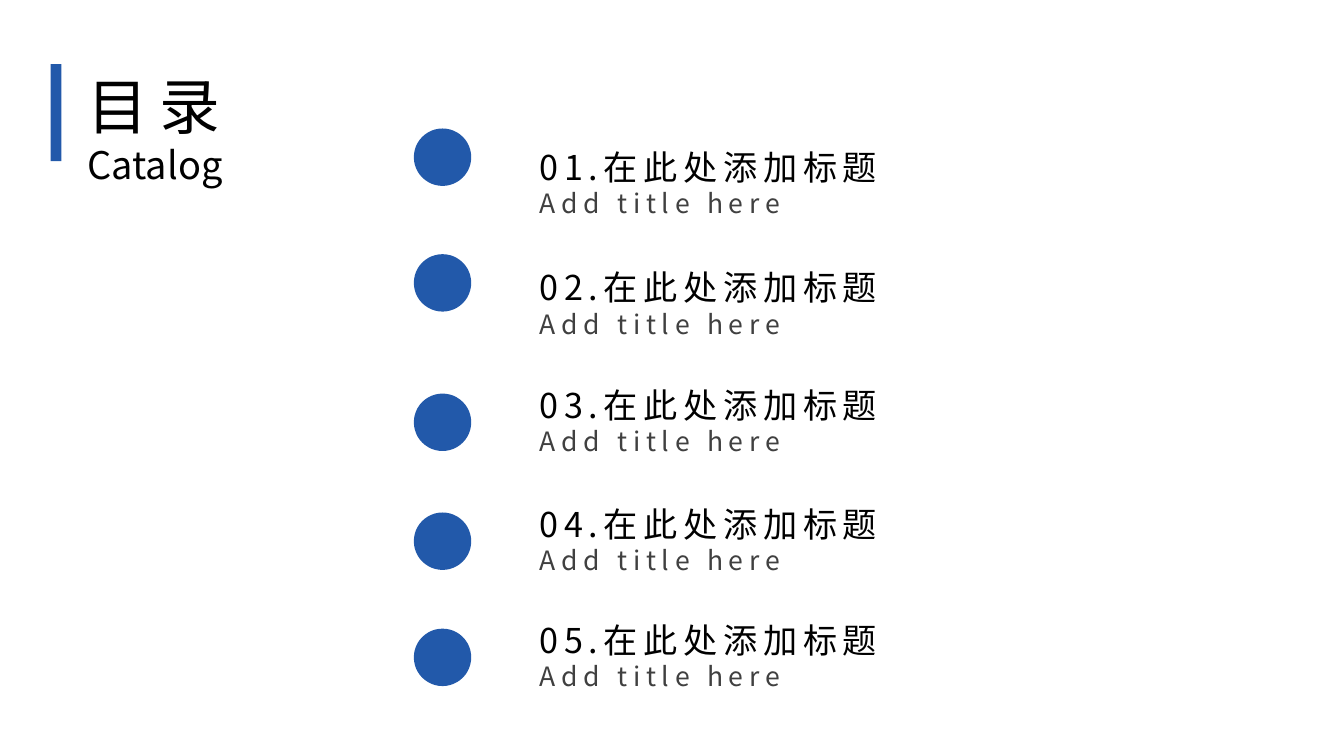
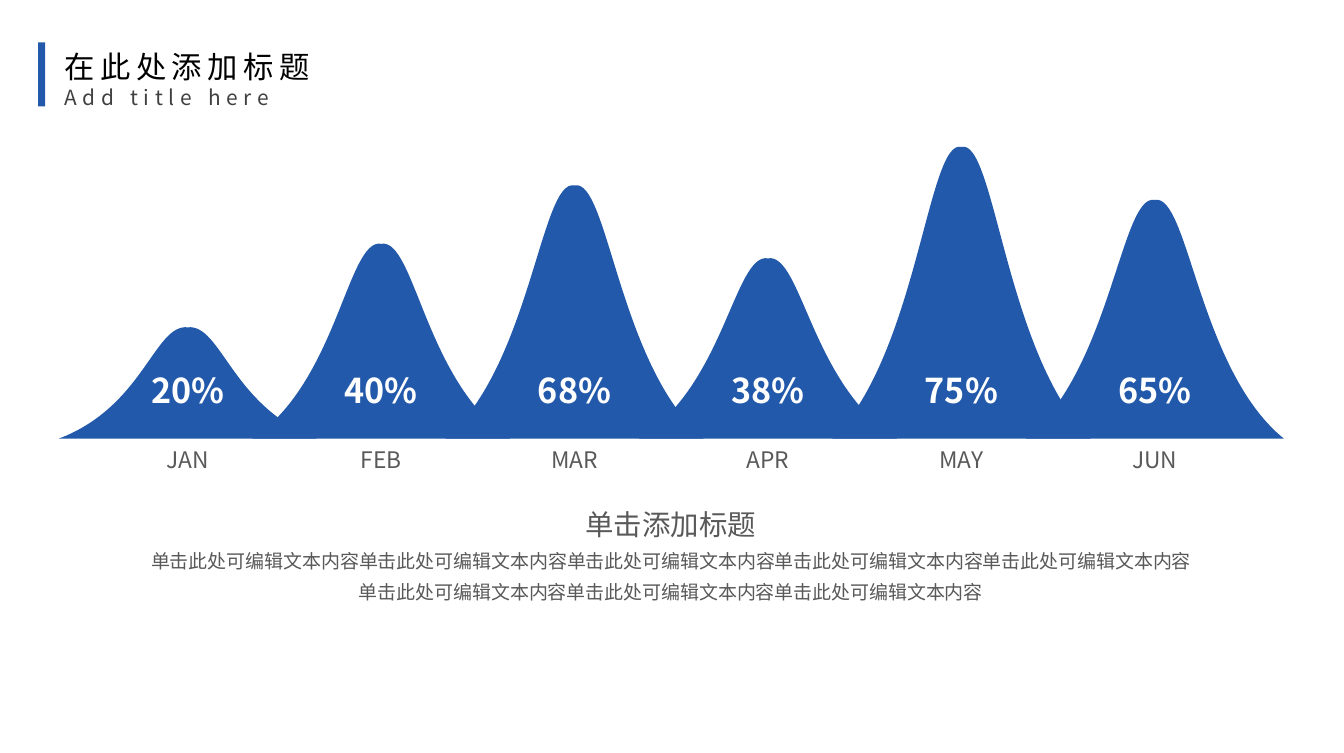
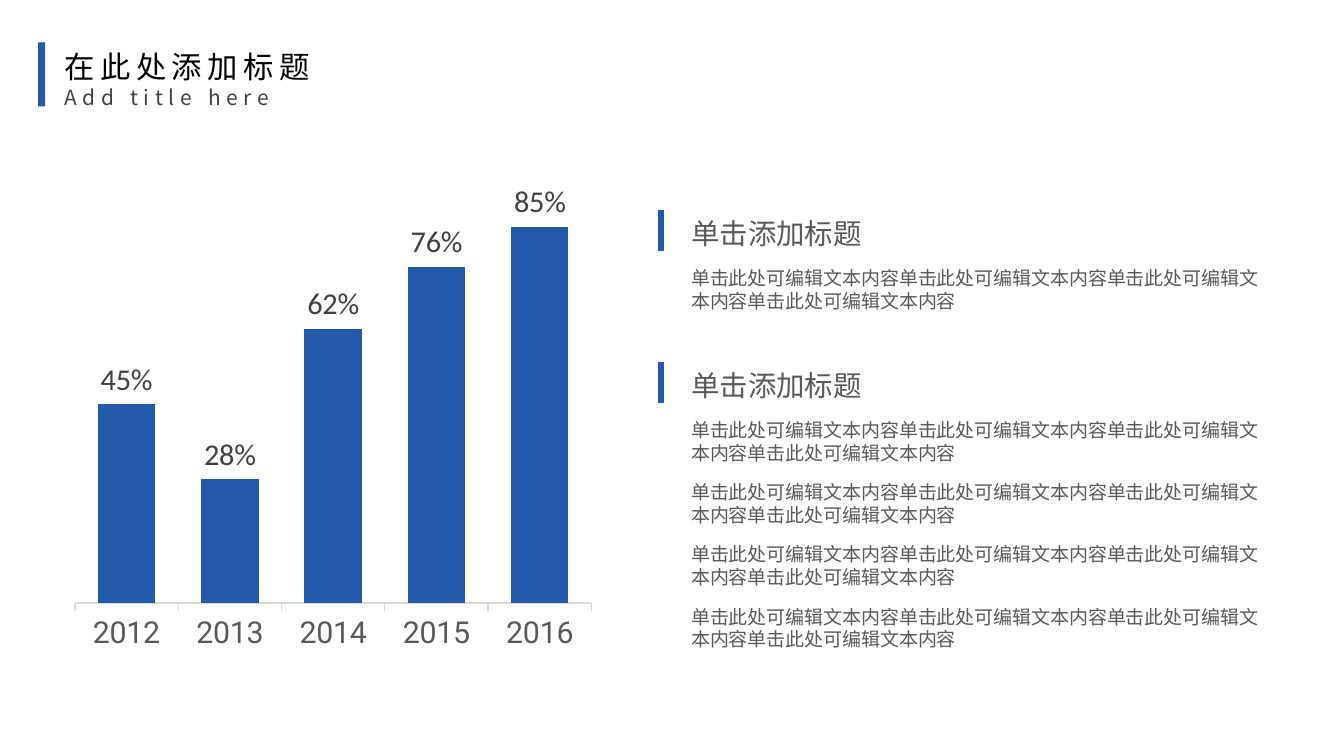
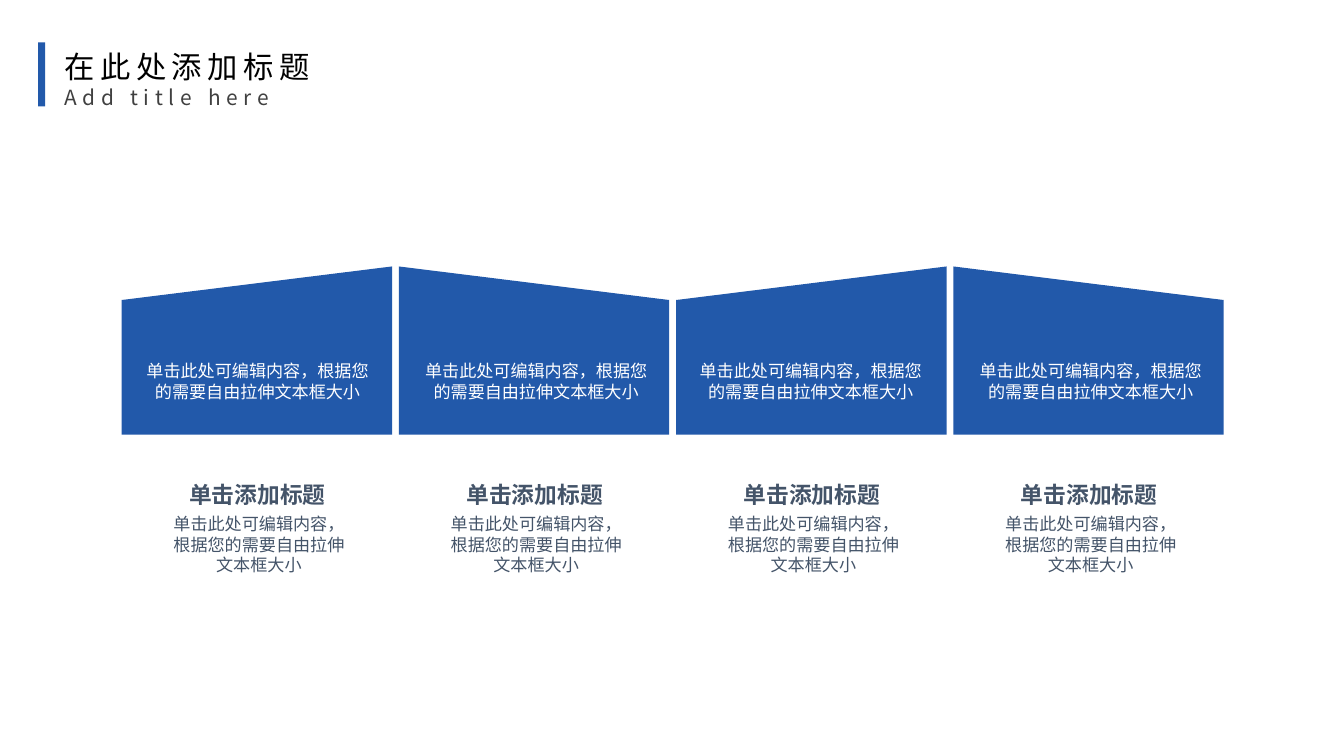
from dataclasses import dataclass

from lxml.etree import SubElement
from pptx import Presentation
from pptx.chart.data import CategoryChartData
from pptx.dml.color import RGBColor
from pptx.enum.chart import XL_CHART_TYPE, XL_LABEL_POSITION, XL_TICK_LABEL_POSITION, XL_TICK_MARK
from pptx.enum.shapes import MSO_CONNECTOR, MSO_SHAPE
from pptx.enum.text import MSO_ANCHOR, MSO_AUTO_SIZE, PP_ALIGN
from pptx.oxml.ns import qn
from pptx.util import Inches, Pt


@dataclass(frozen=True)
class Style:
    size: float
    color: str
    font: str = "Noto Sans CJK SC"
    bold: bool = False
    spacing: float = 0


class Theme:
    """Colours and type shared by all slides."""
    width, height = 9.84, 5.51
    blue, white, black = "2259AA", "FFFFFF", "000000"
    dark, grey, rule, slate = "404040", "595959", "D9D9D9", "445469"
    cjk = "Noto Sans CJK SC"
    line_height = 1.2
    inset = (0.07, 0.04)

    catalog = Style(32, black, spacing=6)
    catalog_sub = Style(20, black)
    entry = Style(18, black, spacing=3)
    entry_sub = Style(14, dark, spacing=3)
    title = Style(16, black, spacing=3)
    title_sub = Style(11, dark, spacing=3)
    heading = Style(15, grey)
    body = Style(10, grey)
    month = Style(12, grey)
    percent = Style(18, white, bold=True)
    caption = Style(12, slate, "Arial", bold=True)
    note = Style(9, slate, "Arial")
    panel = Style(9, white, "Arial")
    axis = Style(16, grey, "Roboto")
    value = Style(16, dark, "Calibri")


TITLE = "在此处添加标题"
SUBTITLE = "Add title here"
HEADING = "单击添加标题"
SENTENCE = "单击此处可编辑文本内容"
NOTE = "单击此处可编辑内容，根据您的需要自由拉伸文本框大小"


def rgb(value):
    return RGBColor.from_string(value)


def box(*lengths):
    return [Inches(v) for v in lengths]


def columns(left, pitch, count):
    """Left edges of equally spaced columns."""
    return [left + pitch * i for i in range(count)]


# Text
def style_font(font, style):
    font.size = Pt(style.size)
    font.name = style.font
    font.bold = style.bold
    font.color.rgb = rgb(style.color)


def write(sp, lines, align=PP_ALIGN.LEFT, before=0, inset=Theme.inset, wrap=True):
    tf = sp.text_frame
    tf.word_wrap = wrap
    tf.auto_size = MSO_AUTO_SIZE.SHAPE_TO_FIT_TEXT
    tf.vertical_anchor = MSO_ANCHOR.TOP
    tf.margin_left = tf.margin_right = Inches(inset[0])
    tf.margin_top = tf.margin_bottom = Inches(inset[1])
    for i, (text, style) in enumerate(lines):
        p = tf.add_paragraph() if i else tf.paragraphs[0]
        p.alignment = align
        p.space_before = Pt(before)
        p.line_spacing = Pt(style.size * Theme.line_height)
        r = p.add_run()
        r.text = text
        style_font(r.font, style)
        rPr = r._r.get_or_add_rPr()
        rPr.set("spc", str(int(style.spacing * 100)))
        SubElement(rPr, qn("a:ea"), typeface=Theme.cjk)


def add_text(s, at, lines, **options):
    write(s.shapes.add_textbox(*box(*at)), lines, **options)


# Shapes
def paint(sp, color=Theme.blue):
    sp.shadow.inherit = False
    sp.fill.solid()
    sp.fill.fore_color.rgb = rgb(color)
    sp.line.fill.background()


def add_block(s, preset, at, color=Theme.blue, mirrored=False):
    sp = s.shapes.add_shape(preset, *box(*at))
    paint(sp, color)
    if mirrored:
        sp._element.spPr.get_or_add_xfrm().set("flipH", "1")


def add_rule(s, x, top, bottom):
    line = s.shapes.add_connector(MSO_CONNECTOR.STRAIGHT, *box(x, top, x, bottom))
    line.line.color.rgb = rgb(Theme.blue)
    line.line.width = Pt(3)
    SubElement(line._element.spPr, qn("a:effectLst"))


def add_bell(s, left, top, width, base):
    """Symmetric bell: one Bezier flank, mirrored about the middle."""
    flank = [(0, 0), (0.33, 0.28), (0.37, 1), (0.5, 0.97)]
    outline = flank + [(1 - x, y) for x, y in reversed(flank[:-1])]
    points = [(Inches(left + x * width), Inches(base - y * (base - top))) for x, y in outline]
    builder = s.shapes.build_freeform(*points[0], scale=1.0)
    builder.add_line_segments(points[1:], close=True)
    sp = builder.convert_to_shape()
    paint(sp)

    # Every three line segments become one curve
    segments = list(sp._element.iter(qn("a:lnTo")))
    for i in range(0, 6, 3):
        curve = SubElement(segments[i].getparent(), qn("a:cubicBezTo"))
        segments[i].addprevious(curve)
        for segment in segments[i:i + 3]:
            curve.append(segment[0])
            segment.getparent().remove(segment)


# Slide frame
def new_slide(prs, bar, title_at, lines):
    s = prs.slides.add_slide(prs.slide_layouts[5])
    add_block(s, MSO_SHAPE.RECTANGLE, bar)
    title = s.shapes.title
    title.left, title.top, title.width, title.height = box(*title_at)
    write(title, lines, wrap=False)
    return s


def content_slide(prs):
    return new_slide(prs, (0.28, 0.31, 0.05, 0.47), (0.4, 0.31, 2.01, 0.55),
                     [(TITLE, Theme.title), (SUBTITLE, Theme.title_sub)])


# Slides
def catalog_slide(prs):
    s = new_slide(prs, (0.37, 0.47, 0.08, 0.71), (0.57, 0.46, 1.21, 0.95),
                  [("目录", Theme.catalog), ("Catalog", Theme.catalog_sub)])
    add_block(s, MSO_SHAPE.RECTANGLE, (0.51, 2.68, 0.38, 1.18), Theme.white)
    rows = [(0.94, 1.03), (1.86, 1.91), (2.88, 2.77), (3.75, 3.64), (4.6, 4.49)]
    for number, (dot_top, text_top) in enumerate(rows, 1):
        add_block(s, MSO_SHAPE.OVAL, (3.03, dot_top, 0.42, 0.42))
        add_text(s, (3.88, text_top, 2.69, 0.61),
                 [(f"{number:02}.{TITLE}", Theme.entry), (SUBTITLE, Theme.entry_sub)],
                 wrap=False)


def months_slide(prs):
    s = content_slide(prs)
    months = [("JAN", "20%", 2.37), ("FEB", "40%", 1.74), ("MAR", "68%", 1.3),
              ("APR", "38%", 1.85), ("MAY", "75%", 1.01), ("JUN", "65%", 1.41)]
    width, base = 1.89, 3.21
    lefts = columns(0.43, 7.08 / 5, len(months))
    for left, (_, _, top) in zip(lefts, months):
        add_bell(s, left, top, width, base)
    for left, (month, percent, _) in zip(lefts, months):
        middle = left + width / 2
        for text, style, top, w, h in [(month, Theme.month, 3.24, 0.87, 0.24),
                                       (percent, Theme.percent, 2.68, 0.67, 0.34)]:
            add_text(s, (middle - w / 2, top, w, h), [(text, style)],
                     align=PP_ALIGN.CENTER, inset=(0.04, 0.02))
    add_text(s, (0.47, 3.67, 8.88, 0.78),
             [(HEADING, Theme.heading), (SENTENCE * 5, Theme.body), (SENTENCE * 3, Theme.body)],
             align=PP_ALIGN.CENTER, before=4.4)


def add_columns_chart(s, at, categories, values):
    data = CategoryChartData(number_format="0%")
    data.categories = categories
    data.add_series("Series 1", values)
    chart = s.shapes.add_chart(XL_CHART_TYPE.COLUMN_CLUSTERED, *box(*at), data).chart
    chart.has_legend = chart.has_title = False
    style_font(chart.font, Style(10, Theme.black, "Calibri"))

    # Axes
    value_axis, category_axis = chart.value_axis, chart.category_axis
    value_axis.visible = value_axis.has_major_gridlines = False
    value_axis.minimum_scale, value_axis.maximum_scale = 0, 0.9
    category_axis.major_tick_mark = XL_TICK_MARK.OUTSIDE
    category_axis.tick_label_position = XL_TICK_LABEL_POSITION.LOW
    category_axis.format.line.color.rgb = rgb(Theme.rule)
    category_axis.format.line.width = Pt(0.75)
    style_font(category_axis.tick_labels.font, Theme.axis)

    # Columns and labels
    plot = chart.plots[0]
    plot.gap_width, plot.overlap, plot.vary_by_categories = 80, -27, False
    fill = plot.series[0].format.fill
    fill.solid()
    fill.fore_color.rgb = rgb(Theme.blue)
    plot.has_data_labels = True
    labels = plot.data_labels
    labels.show_value = True
    labels.position = XL_LABEL_POSITION.OUTSIDE_END
    labels.number_format, labels.number_format_is_linked = "0%", False
    style_font(labels.font, Theme.value)

    # Plot area as shares of the chart
    area = chart._chartSpace.find(".//" + qn("c:plotArea"))
    layout = area.find(qn("c:layout"))
    if layout is None:
        layout = SubElement(area, qn("c:layout"))
        area.insert(0, layout)
    manual = SubElement(layout, qn("c:manualLayout"))
    for tag, val in [("layoutTarget", "inner"), ("xMode", "edge"), ("yMode", "edge"),
                     ("x", "0.02"), ("y", "0.04"), ("w", "0.96"), ("h", "0.84")]:
        SubElement(manual, qn(f"c:{tag}"), val=val)


def growth_slide(prs):
    s = content_slide(prs)
    add_columns_chart(s, (0.47, 1.35, 3.94, 3.48),
                      ["2012", "2013", "2014", "2015", "2016"],
                      [0.45, 0.28, 0.62, 0.76, 0.85])
    for top, height, count in [(1.54, 0.79, 1), (2.65, 2.18, 4)]:
        add_text(s, (4.99, top, 4.41, height),
                 [(HEADING, Theme.heading)] + [(SENTENCE * 4, Theme.body)] * count,
                 before=8.8)
        add_rule(s, 4.84, top, top + 0.3)


def panels_slide(prs):
    s = content_slide(prs)
    panel_text_lefts = (1.07, 3.11, 5.12, 7.17)
    for i, (left, text_left) in enumerate(zip(columns(0.89, 2.03, 4), panel_text_lefts)):
        add_block(s, MSO_SHAPE.FLOWCHART_MANUAL_INPUT, (left, 1.95, 1.98, 1.23),
                  mirrored=i % 2 == 1)
        for text, style, x, top, w, h in [(NOTE, Theme.panel, text_left, 2.64, 1.63, 0.3),
                                          (HEADING, Theme.caption, left + 0.05, 3.52, 1.89, 0.2),
                                          (NOTE, Theme.note, left + 0.33, 3.76, 1.35, 0.45)]:
            add_text(s, (x, top, w, h), [(text, style)],
                     align=PP_ALIGN.CENTER, inset=(0, 0))


def main():
    prs = Presentation()
    prs.slide_width, prs.slide_height = box(Theme.width, Theme.height)
    for build in (catalog_slide, months_slide, growth_slide, panels_slide):
        build(prs)
    prs.save("out.pptx")


if __name__ == "__main__":
    main()
